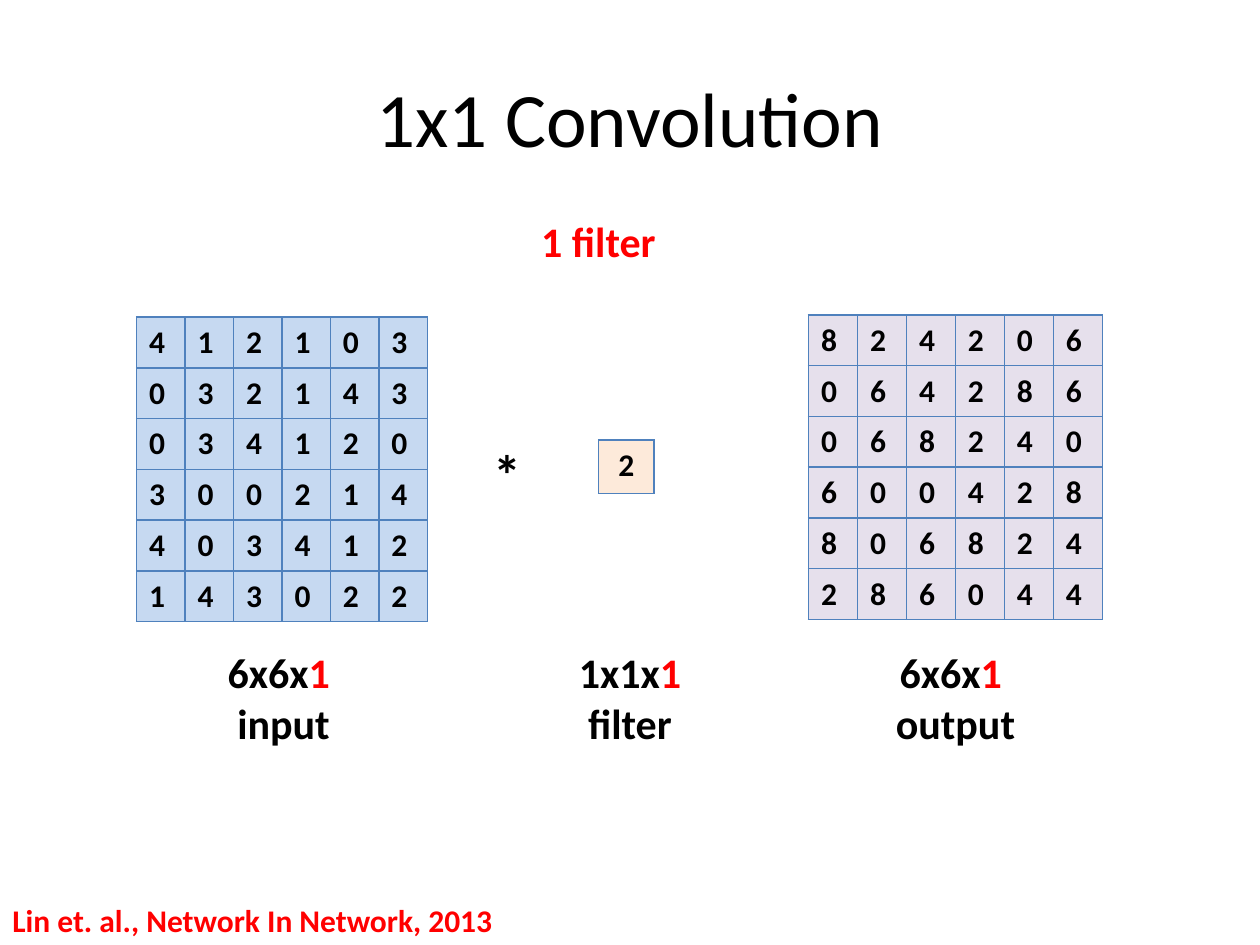
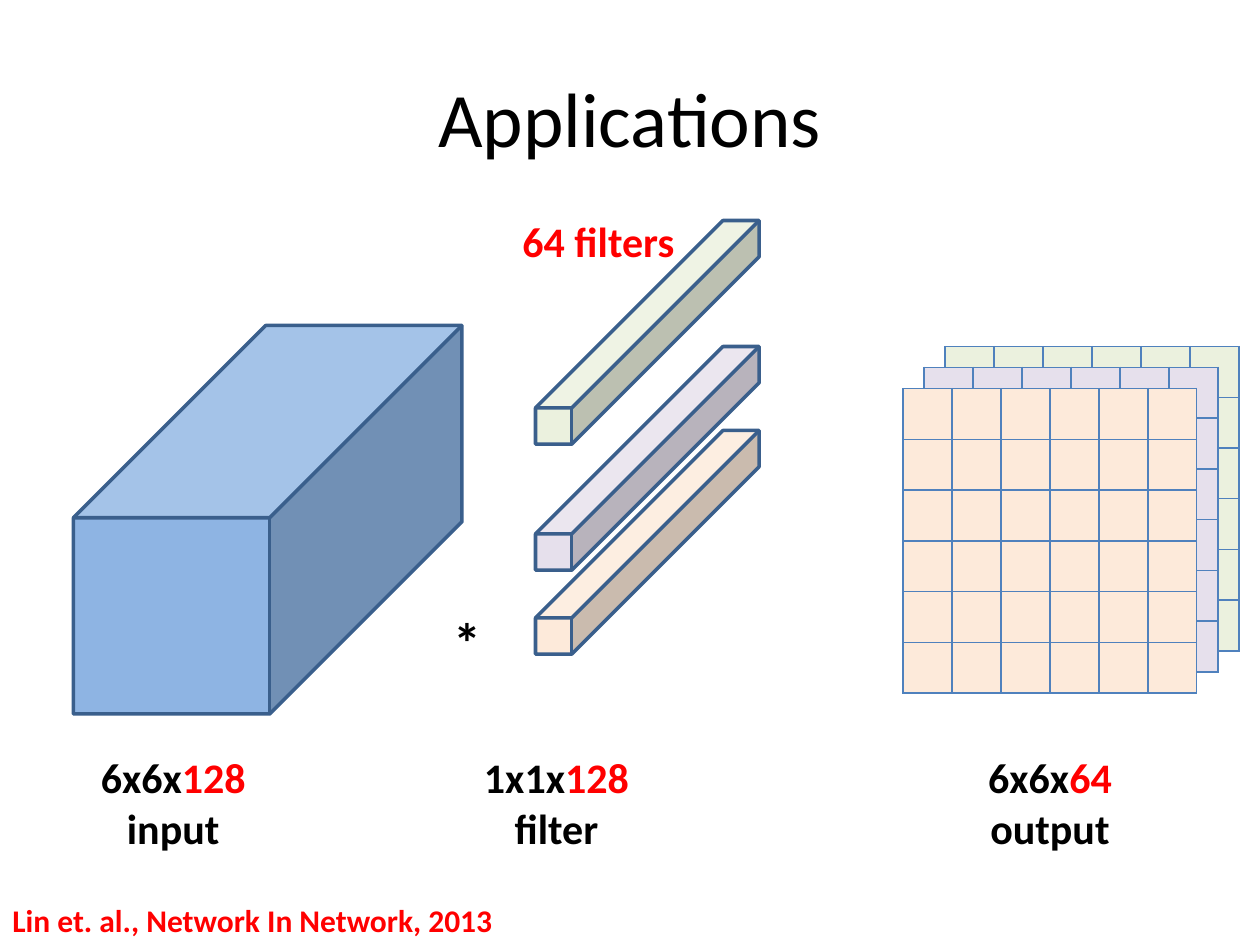
from pptx import Presentation, util as u
from pptx.dml.color import RGBColor
from pptx.enum import shapes, text
from pptx.oxml import parse_xml
from pptx.oxml.ns import nsdecls

BLACK = RGBColor(0x00, 0x00, 0x00)
RED = RGBColor(0xFF, 0x00, 0x00)
GRID_LINE = RGBColor(0x4F, 0x81, 0xBD)
CUBE_LINE = RGBColor(0x3A, 0x5F, 0x8C)
BLUE = RGBColor(0x8E, 0xB4, 0xE3)
PALE_BLUE = RGBColor(0xC6, 0xD9, 0xF1)
PALE_ORANGE = RGBColor(0xFD, 0xEA, 0xDA)
PALE_PURPLE = RGBColor(0xE6, 0xE0, 0xEC)
PALE_GREEN = RGBColor(0xEB, 0xF1, 0xDE)

TITLE = {"name": "Calibri", "size": u.Pt(44), "bold": False}
OPERATOR = {"name": "Calibri", "size": u.Pt(32), "bold": True}
LABEL = {"name": "Calibri", "size": u.Pt(24), "bold": True}
SMALL = {"name": "Calibri", "size": u.Pt(18), "bold": True}
LEFT, CENTER = text.PP_ALIGN.LEFT, text.PP_ALIGN.CENTER

deck = Presentation()
deck.slide_width, deck.slide_height = u.Inches(10), u.Inches(7.5)
UNIT = deck.slide_width / 120  # the slide is a grid of 120 columns by 90 rows
MATRIX = (28, 29)              # columns and rows taken by a 6x6 matrix


def write(slide, place, lines, style, align=CENTER, anchor=text.MSO_ANCHOR.TOP):
    """Put lines, each a list of (words, colour) runs, at a grid place."""
    frame = slide.shapes.add_textbox(*[round(n * UNIT) for n in place]).text_frame
    frame.word_wrap, frame.vertical_anchor = True, anchor
    for number, line in enumerate(lines):
        paragraph = frame.add_paragraph() if number else frame.paragraphs[0]
        paragraph.alignment = align
        for words, colour in line:
            run = paragraph.add_run()
            run.text = words
            run.font.color.rgb = colour
            for key, value in style.items():
                setattr(run.font, key, value)


def matrix(slide, place, values, fill, align=LEFT):
    """Draw rows of values as a ruled table; None leaves a cell empty."""
    left, top, width, height = [round(n * UNIT) for n in place]
    table = slide.shapes.add_table(len(values), len(values[0]),
                                   left, top, width, height).table
    table.first_row = table.horz_banding = False
    for r, row in enumerate(values):
        for c, value in enumerate(row):
            cell = table.cell(r, c)
            for side in "LRTB":
                cell._tc.get_or_add_tcPr().append(parse_xml(
                    f'<a:ln{side} {nsdecls("a")} w="12700"><a:solidFill>'
                    f'<a:srgbClr val="{GRID_LINE}"/></a:solidFill></a:ln{side}>'))
            cell.fill.solid()
            cell.fill.fore_color.rgb = fill
            if value is None:
                continue
            paragraph = cell.text_frame.paragraphs[0]
            paragraph.alignment = align
            run = paragraph.add_run()
            run.text = str(value)
            run.font.color.rgb = BLACK
            for key, value in SMALL.items():
                setattr(run.font, key, value)


# Each slide: title, filter count, place of the operator, and its captions
# as (left, top, width, size, depth, role)
contents = [
    ("1x1 Convolution", "1 filter", (45.8, 41.3),
     [(13, 61, 28, "6x6x", "1 ", "input"),
      (51, 61, 18, "1x1x", "1", "filter"),
      (77, 61, 28, "6x6x", "1 ", "output")]),
    ("Applications", "64 filters", (42, 57.3),
     [(7, 71, 19, "6x6x", "128", "input"),
      (44, 71, 18, "1x1x", "128", "filter"),
      (86, 71, 28, "6x6x", "64", "output")]),
]
slides = []
for title, count, operator, captions in contents:
    slide = deck.slides.add_slide(deck.slide_layouts[6])
    slides.append(slide)
    write(slide, (6, 3.6, 108, 15), [[(title, BLACK)]], TITLE,
          anchor=text.MSO_ANCHOR.MIDDLE)
    write(slide, (48, 19.9, 18, 6), [[(count, RED)]], LABEL)
    write(slide, (*operator, 5.2, 7.7), [[("*", BLACK)]], OPERATOR, LEFT)
    for left, top, width, size, depth, role in captions:
        write(slide, (left, top, width, 10.9),
              [[(size, BLACK), (depth, RED)], [(role, BLACK)]], LABEL)
    write(slide, (0, 85.2, 50, 4.8),
          [[("Lin et. al., Network In Network, 2013", RED)]], SMALL, LEFT)
convolution, applications = slides

# One filter: every output value is the input value times the weight
weight = 2
inputs = [[4, 1, 2, 1, 0, 3],
          [0, 3, 2, 1, 4, 3],
          [0, 3, 4, 1, 2, 0],
          [3, 0, 0, 2, 1, 4],
          [4, 0, 3, 4, 1, 2],
          [1, 4, 3, 0, 2, 2]]
outputs = [[weight * value for value in row] for row in inputs]
matrix(convolution, (13, 30.2, 27.7, 29), inputs, PALE_BLUE)
matrix(convolution, (57, 41.9, 5.3, 5.1), [[weight]], PALE_ORANGE, CENTER)
matrix(convolution, (77, 30, *MATRIX), outputs, PALE_PURPLE)

# Many filters: input volume and filter bars, as (left, top, side, depth, fill)
volumes = [(7, 31, 37, 0.495, BLUE)]
volumes += [(51, top, 21.3, 0.838, fill) for top, fill in
            [(41, PALE_ORANGE), (33, PALE_PURPLE), (21, PALE_GREEN)]]
for left, top, side, depth, fill in volumes:
    cube = applications.shapes.add_shape(
        shapes.MSO_SHAPE.CUBE, *[round(n * UNIT) for n in (left, top, side, side)])
    cube.adjustments[0] = depth
    cube.shadow.inherit = False
    cube.fill.solid()
    cube.fill.fore_color.rgb = fill
    cube.line.color.rgb = CUBE_LINE
    cube.line.width = u.Pt(2)

# Output maps are stacked from back to front, each two grid steps apart
for step, fill in enumerate([PALE_GREEN, PALE_PURPLE, PALE_ORANGE]):
    matrix(applications, (90 - 2 * step, 33 + 2 * step, *MATRIX),
           [[None] * 6] * 6, fill)

deck.save("out.pptx")
